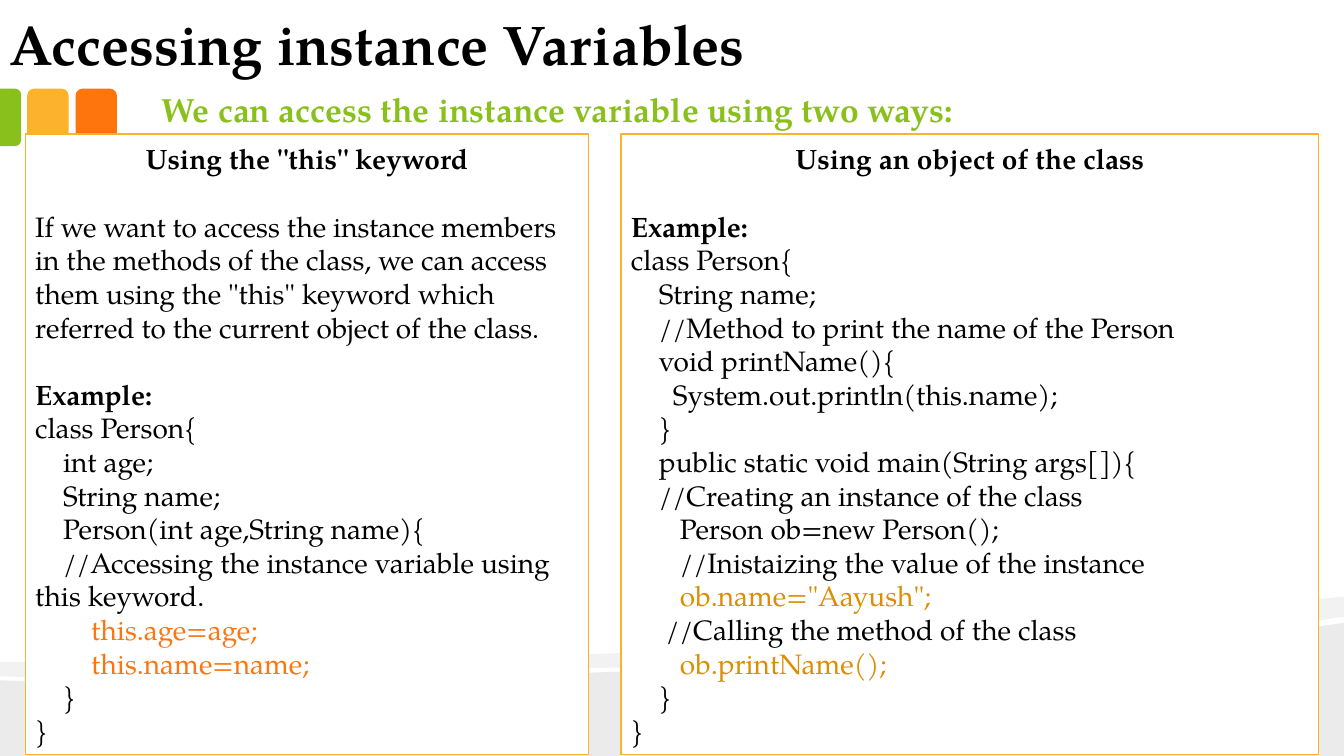
from dataclasses import dataclass

from lxml import etree
from pptx import Presentation
from pptx import util as u
from pptx.dml.color import RGBColor
from pptx.enum import shapes, text
from pptx.oxml.ns import qn

PX = 9144  # EMU in one px, 100 px to the inch
FONT = "TeX Gyre Pagella"
BLACK = RGBColor(0x00, 0x00, 0x00)
WHITE = RGBColor(0xFF, 0xFF, 0xFF)
GREEN = RGBColor(0x89, 0xC0, 0x1C)
AMBER = RGBColor(0xFC, 0xB2, 0x2C)
ORANGE = RGBColor(0xFE, 0x75, 0x0E)
GOLD = RGBColor(0xDB, 0x8E, 0x03)

Point = tuple[int, int]


@dataclass
class Line:
    words: str
    bold: bool = False
    color: RGBColor = BLACK
    gap: int = 0  # points before the line
    align: text.PP_ALIGN = text.PP_ALIGN.LEFT


@dataclass
class Panel:
    left: int
    width: int
    lines: list[Line]


@dataclass
class Tab:
    kind: shapes.MSO_SHAPE
    frame: tuple[int, int, int, int]
    color: RGBColor
    turn: int = 0


def heading(words: str) -> Line:
    return Line(words, bold=True, align=text.PP_ALIGN.CENTER)


def code(block: str, color: RGBColor = BLACK) -> list[Line]:
    return [Line(row, color=color) for row in block.strip("\n").split("\n")]


TABS = [
    Tab(shapes.MSO_SHAPE.ROUNDED_RECTANGLE, (75, 88, 41, 57), ORANGE),
    Tab(shapes.MSO_SHAPE.ROUNDED_RECTANGLE, (27, 88, 41, 57), AMBER),
    Tab(shapes.MSO_SHAPE.ROUND_2_SAME_RECTANGLE, (-18, 106, 57, 21), GREEN, turn=90),
]

THIS_KEYWORD = Panel(25, 559, [
    heading('Using the "this" keyword'),
    Line("If we want to access the instance members in the methods of the class, "
         'we can access them using the "this" keyword which referred to the '
         "current object of the class.", gap=24),
    Line("Example:", bold=True, gap=24),
    *code("""
class Person{
    int age;
    String name;
    Person(int age,String name){
    //Accessing the instance variable using this keyword.
"""),
    *code("""
        this.age=age;
        this.name=name;
""", ORANGE),
    *code("""
    }
}
"""),
])

CLASS_OBJECT = Panel(616, 692, [
    heading("Using an object of the class"),
    Line("Example:", bold=True, gap=24),
    *code("""
class Person{
    String name;
    //Method to print the name of the Person
    void printName(){
      System.out.println(this.name);
    }
    public static void main(String args[]){
    //Creating an instance of the class
       Person ob=new Person();
       //Inistaizing the value of the instance
"""),
    *code('       ob.name="Aayush";', GOLD),
    *code("     //Calling the method of the class"),
    *code("       ob.printName();", GOLD),
    *code("""
    }
}
"""),
])


def curve(a: Point, b: Point, c: Point, d: Point, steps: int = 24) -> list[Point]:
    """Points along a cubic Bezier curve."""
    points = []
    for step in range(steps + 1):
        t = step / steps
        s = 1 - t
        points.append(tuple(
            round(s**3 * p + 3 * s * s * t * q + 3 * s * t * t * r + t**3 * e)
            for p, q, r, e in zip(a, b, c, d)))
    return points


def paint(shape, color: RGBColor) -> None:
    shape.shadow.inherit = False
    shape.fill.solid()
    shape.fill.fore_color.rgb = color
    shape.line.fill.background()


def add_wave(page, points: list[Point], alpha: int) -> None:
    builder = page.shapes.build_freeform(*points[0], scale=PX)
    builder.add_line_segments(points[1:], close=True)
    wave = builder.convert_to_shape()
    paint(wave, BLACK)
    tint = wave._element.spPr.find(qn("a:solidFill"))[0]
    etree.SubElement(tint, qn("a:alpha")).set("val", str(alpha * 1000))


def add_block(page, kind: shapes.MSO_SHAPE, frame: tuple[int, int, int, int],
              color: RGBColor, turn: int = 0):
    block = page.shapes.add_shape(kind, *(side * PX for side in frame))
    paint(block, color)
    block.rotation = turn
    return block


def add_textbox(page, frame: tuple[int, int, int, int]):
    return page.shapes.add_textbox(*(side * PX for side in frame))


def write(box, lines: list[Line], *, size: int, anchor=text.MSO_ANCHOR.TOP,
          inset: tuple[int, int] = (10, 5)) -> None:
    frame = box.text_frame
    frame.word_wrap = True
    frame.vertical_anchor = anchor
    frame.margin_left = frame.margin_right = inset[0] * PX
    frame.margin_top = frame.margin_bottom = inset[1] * PX
    for index, line in enumerate(lines):
        para = frame.add_paragraph() if index else frame.paragraphs[0]
        para.alignment = line.align
        if line.gap:
            para.space_before = u.Pt(line.gap)
        span = para.add_run()
        span.text = line.words
        span.font.name = FONT
        span.font.size = u.Pt(size)
        span.font.bold = line.bold
        span.font.color.rgb = line.color


def main() -> None:
    deck = Presentation()
    deck.slide_width, deck.slide_height = 1333 * PX, 750 * PX
    page = deck.slides.add_slide(deck.slide_layouts[6])

    # Grey waves along the bottom
    add_wave(page, [(1333, 750), (0, 750)]
             + curve((0, 675), (352, 683), (1042, 655), (1333, 618)), 8)
    add_wave(page, curve((1333, 612), (1255, 623), (1149, 633), (1029, 641))
             + curve((1029, 641), (698, 663), (258, 677), (0, 671))[1:]
             + curve((0, 657), (652, 662), (971, 627), (1333, 592)), 5)

    # Coloured tabs
    for tab in TABS:
        block = add_block(page, tab.kind, tab.frame, tab.color, tab.turn)
        if tab.turn:
            block.adjustments[0] = 0.29

    # Title and subtitle
    write(add_textbox(page, (-4, 0, 1037, 83)),
          [Line("Accessing instance Variables", bold=True)],
          size=40, anchor=text.MSO_ANCHOR.BOTTOM, inset=(13, 7))
    write(add_textbox(page, (150, 83, 908, 50)),
          [Line("We can access the instance variable using two ways:",
                bold=True, color=GREEN, align=text.PP_ALIGN.JUSTIFY)], size=24)

    # The two ways, side by side
    for panel in (THIS_KEYWORD, CLASS_OBJECT):
        box = add_block(page, shapes.MSO_SHAPE.RECTANGLE,
                        (panel.left, 133, panel.width, 616), WHITE)
        box.line.color.rgb = AMBER
        box.line.width = u.Pt(0.85)
        write(box, panel.lines, size=20, anchor=text.MSO_ANCHOR.MIDDLE)

    deck.save("out.pptx")


if __name__ == "__main__":
    main()
